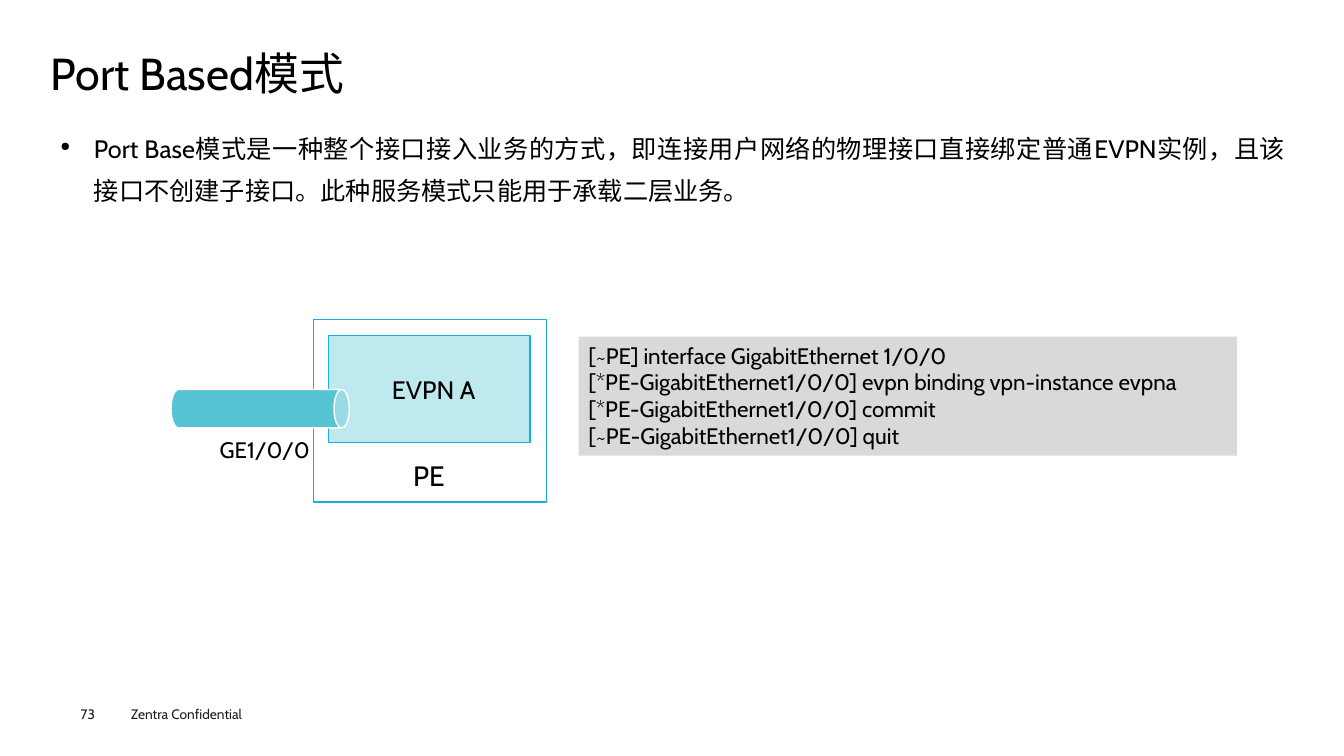
from dataclasses import dataclass
from lxml import etree
from pptx import Presentation, util as u
from pptx.dml.color import RGBColor
from pptx.enum import shapes, text
from pptx.oxml.ns import qn

Pt = u.Pt
Kind = shapes.MSO_SHAPE
Side = text.PP_ALIGN
Hold = text.MSO_ANCHOR


@dataclass(frozen=True)
class Theme:
    """Colours, font and type sizes of the deck."""
    face: str = "Cabin"
    ink: str = "000000"
    soft: str = "1D1D1B"
    white: str = "FFFFFF"
    edge: str = "1AABE2"
    pale: str = "BEE9EE"
    teal: str = "56C4D2"
    grey: str = "D9D9D9"
    title: float = 32
    name: float = 20
    body: float = 18
    code: float = 16
    foot: float = 9.8


class Deck:
    """Draws themed elements on the current slide."""

    def __init__(self, theme, wide, high):
        """Start a deck of the given size with one blank slide."""
        self.theme = theme
        self.prs = Presentation()
        self.prs.slide_width, self.prs.slide_height = Pt(wide), Pt(high)
        self.slide = self.prs.slides.add_slide(self.prs.slide_layouts[6])

    def style(self, para, size, ink=None, side=Side.LEFT):
        """Set the look of one paragraph."""
        para.alignment = side
        para.font.name = self.theme.face
        para.font.size = Pt(size)
        para.font.color.rgb = RGBColor.from_string(ink or self.theme.ink)

    def letter(self, shape, lines, size, ink=None, pad=(7.2, 3.6),
               hold=Hold.TOP, wrap=True):
        """Fill a shape with lines of text in one style."""
        frame = shape.text_frame
        frame.word_wrap = wrap
        frame.vertical_anchor = hold
        frame.margin_left = frame.margin_right = Pt(pad[0])
        frame.margin_top = frame.margin_bottom = Pt(pad[1])
        frame.text = "\n".join(lines)
        for para in frame.paragraphs:
            self.style(para, size, ink)
        return frame

    def label(self, box, words, size, **look):
        """Add a text box."""
        shape = self.slide.shapes.add_textbox(*map(Pt, box))
        return self.letter(shape, [words], size, **look)

    def point(self, box, words, size):
        """Add a justified bullet paragraph."""
        frame = self.slide.shapes.add_textbox(*map(Pt, box)).text_frame
        frame.word_wrap = True
        para = frame.paragraphs[0]
        para.text = words
        para.line_spacing = 1.4
        props = para._p.get_or_add_pPr()
        props.set("marL", str(Pt(24)))
        props.set("indent", str(Pt(-24)))
        etree.SubElement(props, qn("a:buSzPct")).set("val", "50000")
        etree.SubElement(props, qn("a:buChar")).set("char", "●")
        self.style(para, size, side=Side.JUSTIFY)

    def block(self, box, fill, line=None, kind=Kind.RECTANGLE):
        """Add a filled shape with an optional outline."""
        shape = self.slide.shapes.add_shape(kind, *map(Pt, box))
        shape.shadow.inherit = False
        shape.fill.solid()
        shape.fill.fore_color.rgb = RGBColor.from_string(fill)
        if line:
            shape.line.color.rgb = RGBColor.from_string(line)
            shape.line.width = Pt(1)
        else:
            shape.line.fill.background()
        return shape

    def pipe(self, box, fill, line):
        """Add a can lying on its side."""
        shape = self.block(box, fill, line, Kind.CAN)
        shape.adjustments[0] = 0.4
        shape.rotation = 90


def main():
    """Build the slide on port based mode."""
    look = Theme()
    deck = Deck(look, 960, 540)
    deck.label((86.4, 500.4, 115, 19.4), "Zentra Confidential", look.foot,
               ink=look.soft)
    deck.label((57.6, 504, 39.6, 11.5), "73", look.foot, ink=look.soft,
               pad=(0, 0))
    title = deck.label((36, 35.3, 889, 38.2), "Port Based模式", look.title,
                       pad=(0, 0), hold=Hold.MIDDLE)
    title.paragraphs[0].line_spacing = 0.9
    deck.point((36, 82.8, 889, 384.5),
               "Port Base模式是一种整个接口接入业务的方式，即连接用户网络的物理接口直接"
               "绑定普通EVPN实例，且该接口不创建子接口。此种服务模式只能用于承载二层业务。",
               look.body)

    deck.block((224, 228.2, 166.3, 130.3), look.white, look.edge)
    deck.label((288, 324, 37.4, 31.7), "PE", look.name, wrap=False)
    deck.label((149.8, 308.2, 115.9, 26.6), "GE1/0/0", look.code)
    code = deck.block((413.3, 240.5, 470.2, 85), look.grey)
    deck.letter(code, ["[~PE] interface GigabitEthernet 1/0/0",
                       "[*PE-GigabitEthernet1/0/0] evpn binding vpn-instance evpna",
                       "[*PE-GigabitEthernet1/0/0] commit",
                       "[~PE-GigabitEthernet1/0/0] quit"], look.code)
    deck.block((234.7, 239.8, 144, 76.3), look.pale, look.edge)
    deck.pipe((172.1, 228.2, 27.4, 127.4), look.teal, look.white)
    deck.label((272.9, 263.5, 77.8, 28.8), "EVPN A", look.body, wrap=False)
    deck.prs.save("out.pptx")


if __name__ == "__main__":
    main()
